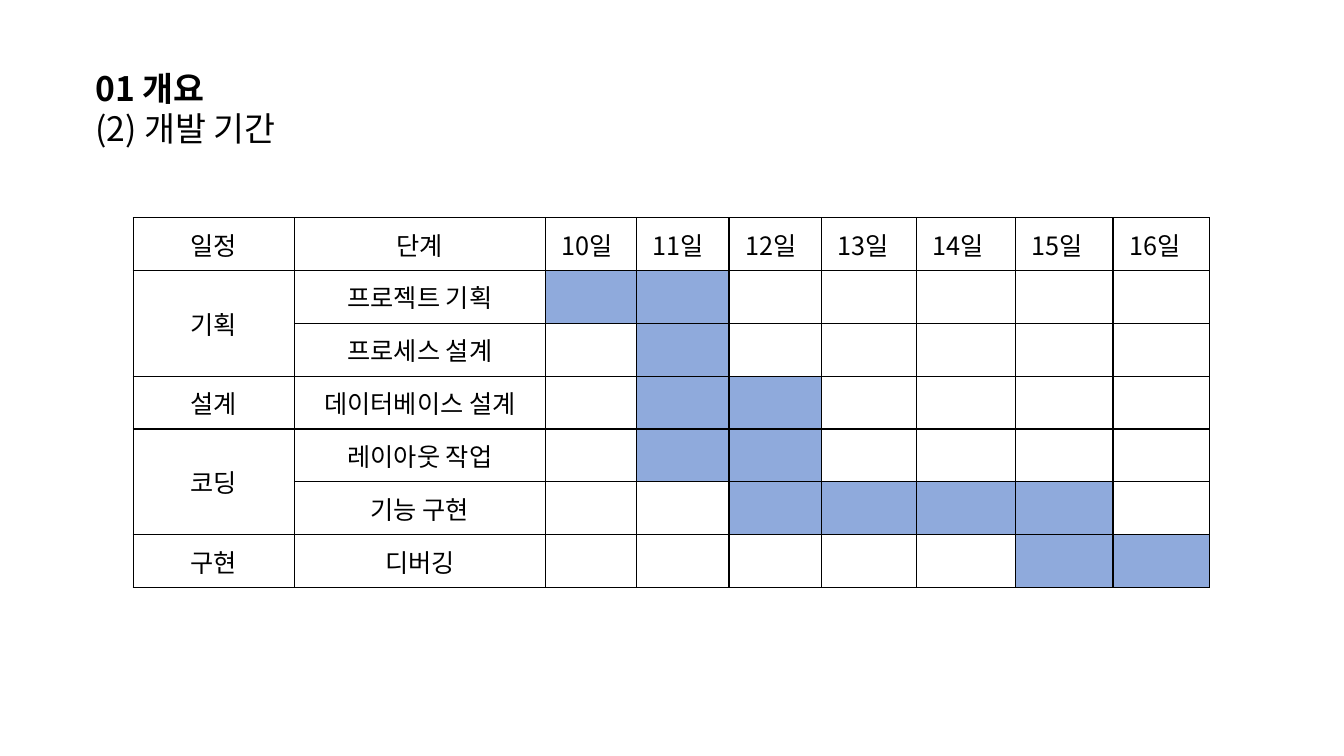
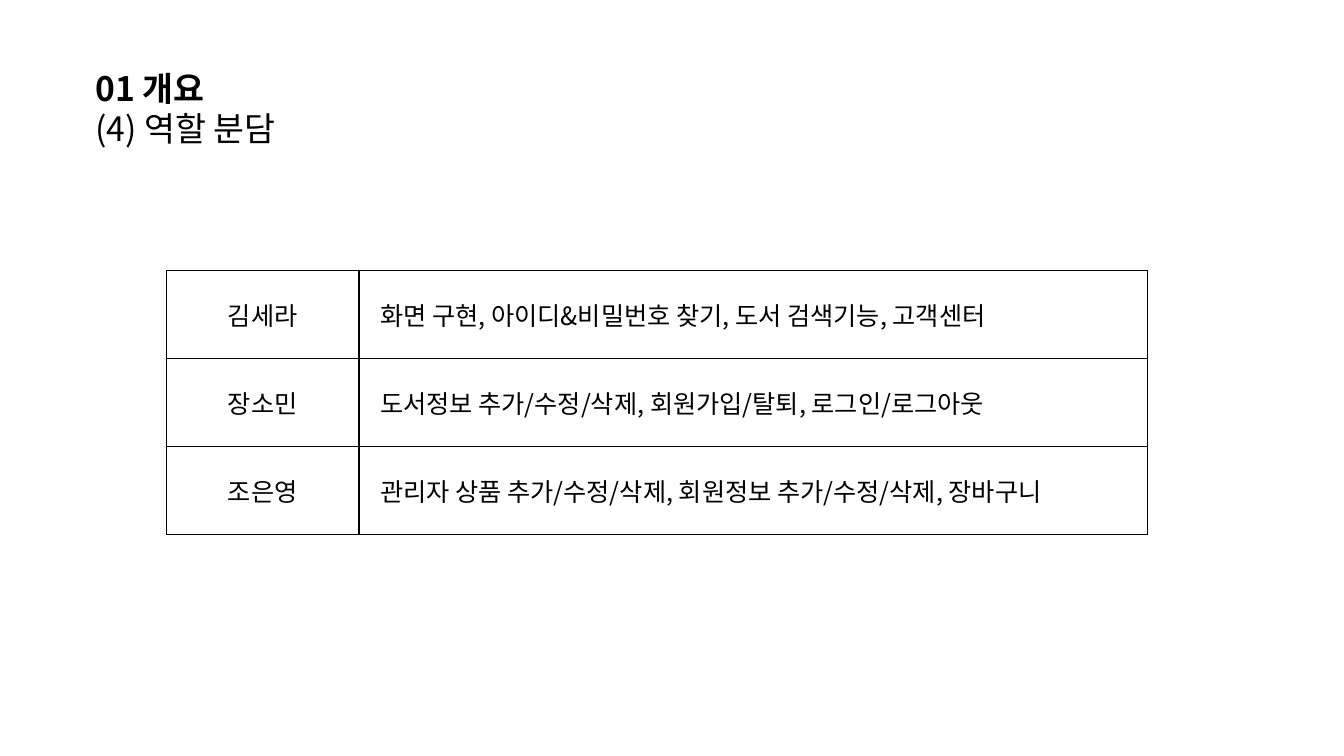
from dataclasses import dataclass
from lxml.etree import SubElement
from pptx import Presentation
from pptx.dml.color import RGBColor
from pptx.enum.text import MSO_ANCHOR, MSO_AUTO_SIZE, PP_ALIGN
from pptx.oxml.ns import qn
from pptx.util import Inches, Pt


@dataclass(frozen=True)
class Theme:
    """Colours, font and sizes shared by all slides."""
    font: str = "Noto Sans CJK KR"
    ink: RGBColor = RGBColor(0, 0, 0)
    paper: RGBColor = RGBColor(255, 255, 255)
    bar: RGBColor = RGBColor(0x8F, 0xAA, 0xDC)
    title_size: int = 24
    cell_size: int = 18
    border: int = 1


THEME = Theme()
SECTION = "01 개요"
TITLE_BOX = (0.85, 0.62, 2.1, 0.91)

SCHEDULE_BOX = (1.32, 2.16, 10.68, 3.67)
SCHEDULE_COLUMNS = (1.6, 2.49, 0.9, 0.92, 0.92, 0.94, 0.98, 0.97, 0.96)
FIRST_DAY, LAST_DAY = 10, 16
# Phase, then its steps with their first and last day
SCHEDULE = (
    ("기획", (("프로젝트 기획", 10, 11), ("프로세스 설계", 11, 11))),
    ("설계", (("데이터베이스 설계", 11, 12),)),
    ("코딩", (("레이아웃 작업", 11, 12), ("기능 구현", 12, 15))),
    ("구현", (("디버깅", 15, 16),)),
)

ROLES_BOX = (1.65, 2.68, 9.73, 2.62)
ROLES_COLUMNS = (1.91, 7.82)
ROLES = (
    ("김세라", "화면 구현, 아이디&비밀번호 찾기, 도서 검색기능, 고객센터"),
    ("장소민", "도서정보 추가/수정/삭제, 회원가입/탈퇴, 로그인/로그아웃"),
    ("조은영", "관리자 상품 추가/수정/삭제, 회원정보 추가/수정/삭제, 장바구니"),
)


def style_para(para, size, bold=False):
    """Give every run of a paragraph the theme font and colour."""
    for span in para.runs:
        span.font.name = THEME.font
        span.font.size = Pt(size)
        span.font.bold = bold
        span.font.color.rgb = THEME.ink
        east_asian = SubElement(span.font._element, qn("a:ea"))
        east_asian.set("typeface", THEME.font)


def add_page(deck, subtitle):
    """Add a blank slide with the section title and its subtitle."""
    page = deck.slides.add_slide(deck.slide_layouts[6])
    page.background.fill.solid()
    page.background.fill.fore_color.rgb = THEME.paper
    frame = page.shapes.add_textbox(*map(Inches, TITLE_BOX)).text_frame
    frame.word_wrap = False
    frame.auto_size = MSO_AUTO_SIZE.SHAPE_TO_FIT_TEXT
    frame.text = f"{SECTION}\n{subtitle}"
    for para, bold in zip(frame.paragraphs, (True, False)):
        style_para(para, THEME.title_size, bold)
    return page


def add_borders(cell):
    """Draw a thin line on all four sides of a cell."""
    properties = cell._tc.get_or_add_tcPr()
    for side in ("a:lnL", "a:lnR", "a:lnT", "a:lnB"):
        line = SubElement(properties, qn(side), w=str(Pt(THEME.border)))
        fill = SubElement(line, qn("a:solidFill"))
        SubElement(fill, qn("a:srgbClr"), val=str(THEME.ink))


def add_grid(page, box, columns, row_count):
    """Add an unfilled, bordered table with equal rows in the box."""
    table = page.shapes.add_table(
        row_count, len(columns), *map(Inches, box)).table
    table.first_row = table.horz_banding = False
    for column, width in zip(table.columns, columns):
        column.width = Inches(width)
    for row in table.rows:
        row.height = Inches(box[3] / row_count)
    for cell in table.iter_cells():
        add_borders(cell)
        cell.fill.background()
        cell.vertical_anchor = MSO_ANCHOR.MIDDLE
    return table


def write_cell(cell, text, left_margin=None):
    """Write centred text, or left-aligned text after a given margin."""
    cell.text = text
    para = cell.text_frame.paragraphs[0]
    para.alignment = PP_ALIGN.CENTER if left_margin is None else PP_ALIGN.LEFT
    if left_margin is not None:
        cell.margin_left = Inches(left_margin)
        cell.margin_right = Inches(0.05)
    style_para(para, THEME.cell_size)


def add_schedule(page, box):
    """Place the day-by-day schedule table in the box."""
    row_count = 1 + sum(len(steps) for _, steps in SCHEDULE)
    table = add_grid(page, box, SCHEDULE_COLUMNS, row_count)
    write_cell(table.cell(0, 0), "일정")
    write_cell(table.cell(0, 1), "단계")
    day_columns = {day: 2 + day - FIRST_DAY
                   for day in range(FIRST_DAY, LAST_DAY + 1)}
    for day, column in day_columns.items():
        write_cell(table.cell(0, column), f"{day}일", 0.16)
    row = 1
    for phase, steps in SCHEDULE:
        phase_cell = table.cell(row, 0)
        if len(steps) > 1:
            phase_cell.merge(table.cell(row + len(steps) - 1, 0))
        write_cell(phase_cell, phase)
        for step, start, end in steps:
            write_cell(table.cell(row, 1), step)
            for day in range(start, end + 1):
                fill = table.cell(row, day_columns[day]).fill
                fill.solid()
                fill.fore_color.rgb = THEME.bar
            row += 1


def add_roles(page, box):
    """Place the table of members and their tasks in the box."""
    table = add_grid(page, box, ROLES_COLUMNS, len(ROLES))
    for row, (member, tasks) in enumerate(ROLES):
        write_cell(table.cell(row, 0), member)
        write_cell(table.cell(row, 1), tasks, 0.21)


def main():
    """Build and save the deck."""
    deck = Presentation()
    deck.slide_width, deck.slide_height = Inches(13.33), Inches(7.5)
    add_schedule(add_page(deck, "(2) 개발 기간"), SCHEDULE_BOX)
    add_roles(add_page(deck, "(4) 역할 분담"), ROLES_BOX)
    deck.save("out.pptx")


main()
